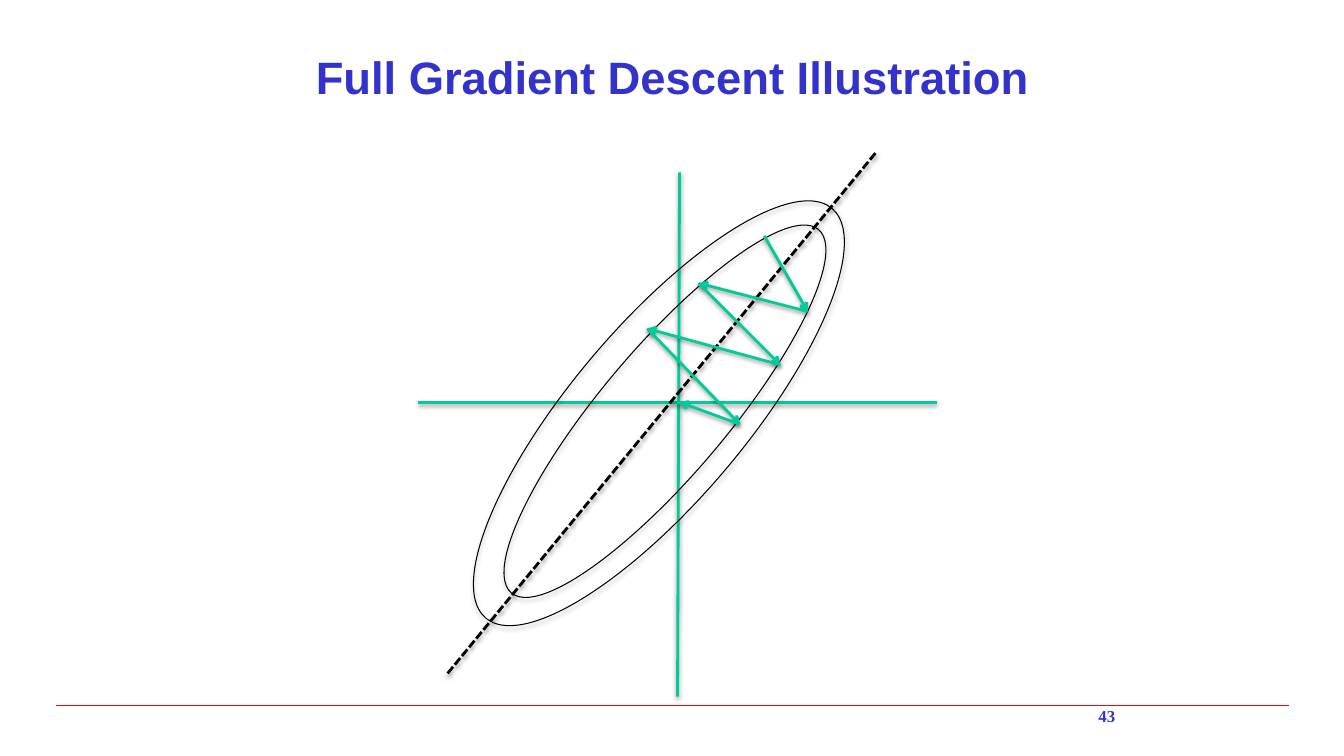
from dataclasses import dataclass
from itertools import pairwise

from lxml.etree import SubElement
from pptx import Presentation
from pptx.dml.color import RGBColor
from pptx.enum.dml import MSO_LINE
from pptx.enum.shapes import MSO_CONNECTOR as CONN, MSO_SHAPE as SHAPE
from pptx.enum.text import MSO_ANCHOR as ANCHOR, PP_ALIGN as ALIGN
from pptx.oxml.ns import qn
from pptx.util import Inches, Pt


@dataclass(frozen=True)
class Theme:
    blue: str = "3333CC"
    green: str = "00CC99"
    black: str = "000000"
    red: str = "FF0000"
    title_font: str = "Arial"
    number_font: str = "Times New Roman"
    title_size: float = 32.4
    number_size: float = 12
    thick: float = 2
    rule: float = 1
    thin: float = 0.75


class SlideBuilder:
    def __init__(self, prs, theme):
        self.theme = theme
        self.slide = prs.slides.add_slide(prs.slide_layouts[5])
        self.shapes = self.slide.shapes

    def place(self, sp, left, top, width, height):
        sp.left, sp.top = Inches(left), Inches(top)
        sp.width, sp.height = Inches(width), Inches(height)

    def add_text(self, sp, text, font, size, align):
        tf = sp.text_frame
        tf.word_wrap = True
        p = tf.paragraphs[0]
        p.alignment = align
        r = p.add_run()
        r.text = text
        r.font.name = font
        r.font.size = Pt(size)
        r.font.bold = True
        r.font.color.rgb = RGBColor.from_string(self.theme.blue)
        return tf

    def title(self, text, *box):
        sp = self.shapes.title
        self.place(sp, *box)
        tf = self.add_text(sp, text, self.theme.title_font, self.theme.title_size, ALIGN.CENTER)
        tf.vertical_anchor = ANCHOR.MIDDLE

    def page_number(self, text, *box):
        sp = self.shapes.add_textbox(*map(Inches, box))
        self.add_text(sp, text, self.theme.number_font, self.theme.number_size, ALIGN.RIGHT)

    def stroke(self, sp, color, width):
        sp.line.color.rgb = RGBColor.from_string(color)
        sp.line.width = Pt(width)

    def effects(self, sp, shadow=None):
        effects = SubElement(sp._element.spPr, qn("a:effectLst"))
        if shadow:
            alpha, distance = shadow
            outer = SubElement(effects, qn("a:outerShdw"), blurRad=str(Pt(3.1)),
                               dist=str(Pt(distance)), dir="5400000", rotWithShape="0")
            clr = SubElement(outer, qn("a:srgbClr"), val=self.theme.black)
            SubElement(clr, qn("a:alpha"), val=str(alpha * 1000))

    def line(self, start, end, color, width=None, dash=None, arrow=False, shadow=(38, 1.6)):
        sp = self.shapes.add_connector(CONN.STRAIGHT, *map(Inches, (*start, *end)))
        self.stroke(sp, color, width or self.theme.thick)
        if dash:
            sp.line.dash_style = dash
        if arrow:
            ln = sp._element.spPr.find(qn("a:ln"))
            SubElement(ln, qn("a:tailEnd"), type="arrow")
        self.effects(sp, shadow)

    def contour(self, *box, angle):
        sp = self.shapes.add_shape(SHAPE.OVAL, *map(Inches, box))
        sp.rotation = angle
        sp.fill.background()
        self.stroke(sp, self.theme.black, self.theme.thin)
        self.effects(sp, (35, 1.8))


def main():
    theme = Theme()
    prs = Presentation()
    prs.slide_width, prs.slide_height = Inches(13.33), Inches(7.5)
    s = SlideBuilder(prs, theme)

    s.line((0.56, 7), (12.78, 7), theme.red, theme.rule, shadow=None)
    s.line((6.74, 1.71), (6.72, 6.91), theme.green)
    s.line((4.15, 3.99), (9.29, 3.99), theme.green)
    s.title("Full Gradient Descent Illustration", 0.67, 0.42, 12, 0.67)

    s.contour(5.67, 1.44, 1.73, 5.32, angle=40.2)
    s.contour(5.97, 1.72, 1.25, 4.72, angle=40.2)
    s.line((4.44, 6.68), (8.69, 1.51), theme.black, dash=MSO_LINE.SQUARE_DOT)

    descent = [(7.58, 2.34), (8.01, 3.09), (6.93, 2.81), (7.74, 3.62),
               (6.42, 3.26), (7.34, 4.21), (6.74, 3.99)]
    for start, end in pairwise(descent):
        s.line(start, end, theme.green, arrow=True)

    s.page_number("43", 8.83, 6.95, 2.33, 0.4)
    prs.save("out.pptx")


if __name__ == "__main__":
    main()
